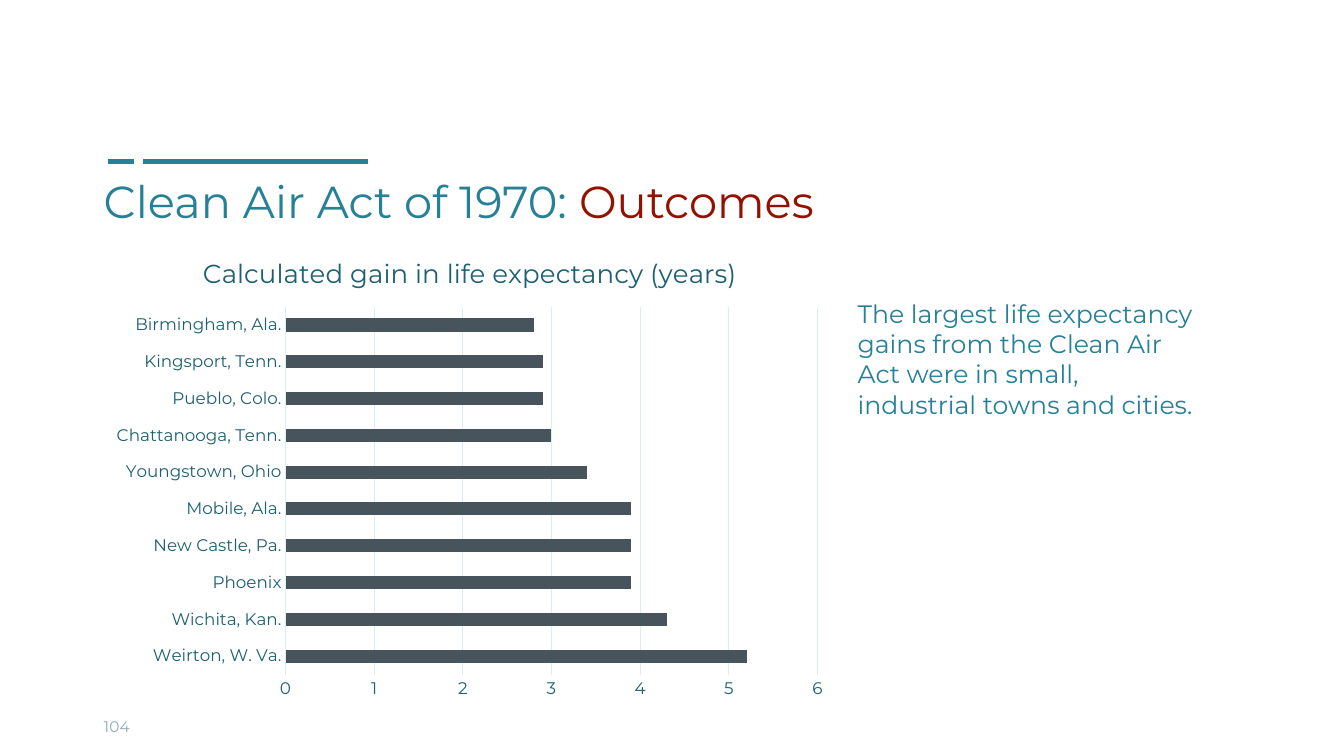
from pptx import Presentation
from pptx.chart.data import CategoryChartData
from pptx.dml.color import RGBColor
from pptx.enum.chart import XL_CHART_TYPE, XL_TICK_MARK
from pptx.enum.shapes import MSO_CONNECTOR
from pptx.enum.text import MSO_ANCHOR
from pptx.oxml import parse_xml
from pptx.oxml.ns import nsdecls, qn
from pptx.util import Pt

BAR = XL_CHART_TYPE.BAR_CLUSTERED
NO_TICK = XL_TICK_MARK.NONE
STRAIGHT = MSO_CONNECTOR.STRAIGHT
TOP, MIDDLE = MSO_ANCHOR.TOP, MSO_ANCHOR.MIDDLE

FONT = "Montserrat"
COLORS = {
    "teal": "268097",
    "dark_teal": "1D6071",
    "pale": "D9EFF5",
    "slate": "47545C",
    "red": "941100",
    "muted": "8EACB8",
}
GAINS = {
    "Weirton, W. Va.": 5.2,
    "Wichita, Kan.": 4.3,
    "Phoenix": 3.9,
    "New Castle, Pa.": 3.9,
    "Mobile, Ala.": 3.9,
    "Youngstown, Ohio": 3.4,
    "Chattanooga, Tenn.": 3,
    "Pueblo, Colo.": 2.9,
    "Kingsport, Tenn.": 2.9,
    "Birmingham, Ala.": 2.8,
}
PLOT_AREA = {"x": 0.25, "y": 0.15, "w": 0.72, "h": 0.78}


def rgb(name):
    """Return the named colour."""
    return RGBColor.from_string(COLORS[name])


def style_font(font, size, color):
    """Set the face, size and colour of a font."""
    font.name = FONT
    font.size = Pt(size)
    font.bold = False
    font.color.rgb = rgb(color)


def add_text(page, box, spans, size, anchor=TOP):
    """Place one paragraph of (text, colour) spans in a box."""
    frame = page.shapes.add_textbox(*map(Pt, box)).text_frame
    frame.word_wrap = True
    frame.vertical_anchor = anchor
    para = frame.paragraphs[0]
    for text, color in spans:
        span = para.add_run()
        span.text = text
        style_font(span.font, size, color)


def add_accent(page, box):
    """Draw the short and the long dash across the top of a box."""
    left, top, width, _ = box
    short, gap = 18.7, 6.5
    for start, end in ((0, short), (short + gap, width)):
        dash = page.shapes.add_connector(
            STRAIGHT, Pt(left + start), Pt(top), Pt(left + end), Pt(top))
        dash.line.color.rgb = rgb("teal")
        dash.line.width = Pt(3.5)
        dash._element.spPr.append(parse_xml(f"<a:effectLst {nsdecls('a')}/>"))


def fix_plot_area(chart):
    """Set the inner plot area as shares of the chart."""
    plot_area = chart.element.find(".//" + qn("c:plotArea"))
    for layout in plot_area.findall(qn("c:layout")):
        plot_area.remove(layout)
    modes = "".join(f'<c:{side}Mode val="edge"/>' for side in "xy")
    sizes = "".join(f'<c:{key} val="{share}"/>' for key, share in PLOT_AREA.items())
    plot_area.insert(0, parse_xml(
        f"<c:layout {nsdecls('c')}><c:manualLayout>"
        f'<c:layoutTarget val="inner"/>{modes}{sizes}'
        "</c:manualLayout></c:layout>"))


def add_gain_chart(page, box):
    """Draw the life expectancy bars in a box."""
    chart_data = CategoryChartData()
    chart_data.categories = list(GAINS)
    chart_data.add_series("Series 1", list(GAINS.values()))
    chart = page.shapes.add_chart(BAR, *map(Pt, box), chart_data).chart
    style_font(chart.font, 10, "teal")
    chart.has_legend = False
    chart.has_title = True
    span = chart.chart_title.text_frame.paragraphs[0].add_run()
    span.text = "Calculated gain in life expectancy (years)"
    style_font(span.font, 18.6, "dark_teal")

    for axis in (chart.category_axis, chart.value_axis):
        axis.major_tick_mark = axis.minor_tick_mark = NO_TICK
        style_font(axis.tick_labels.font, 12, "dark_teal")
    values = chart.value_axis
    values.minimum_scale, values.maximum_scale, values.major_unit = 0, 6, 1
    values.format.line.fill.background()
    values.has_major_gridlines = True
    for line in (chart.category_axis.format.line, values.major_gridlines.format.line):
        line.color.rgb = rgb("pale")
        line.width = Pt(0.75)

    plot = chart.plots[0]
    plot.vary_by_categories = False
    plot.gap_width = 182
    fill = plot.series[0].format.fill
    fill.solid()
    fill.fore_color.rgb = rgb("slate")
    fix_plot_area(chart)


def build_outcomes(page, box):
    """Lay out the outcomes slide in a box."""
    left, top, width, height = box
    add_accent(page, (left + 10, top + 115.2, 185.8, 0))
    add_gain_chart(page, (left + 5, top + 168.5, 527.8, 337))
    add_text(page, (left + 538.5, top + 209.5, 261.4, 116.6),
             [("The largest life expectancy gains from the Clean Air Act "
               "were in small, industrial towns and cities.", "teal")], 18)
    add_text(page, (left, top + 120.2, width, 46.8),
             [("Clean Air Act of 1970: ", "teal"), ("Outcomes", "red")], 32)
    add_text(page, (left, top + height - 35.3, 223.9, 28.8),
             [("104", "muted")], 11, MIDDLE)


def main():
    """Build and save the deck."""
    deck = Presentation()
    deck.slide_width, deck.slide_height = Pt(960), Pt(540)
    page = deck.slides.add_slide(deck.slide_layouts[6])
    build_outcomes(page, (67, 0, 800, 540))
    deck.save("out.pptx")


if __name__ == "__main__":
    main()
